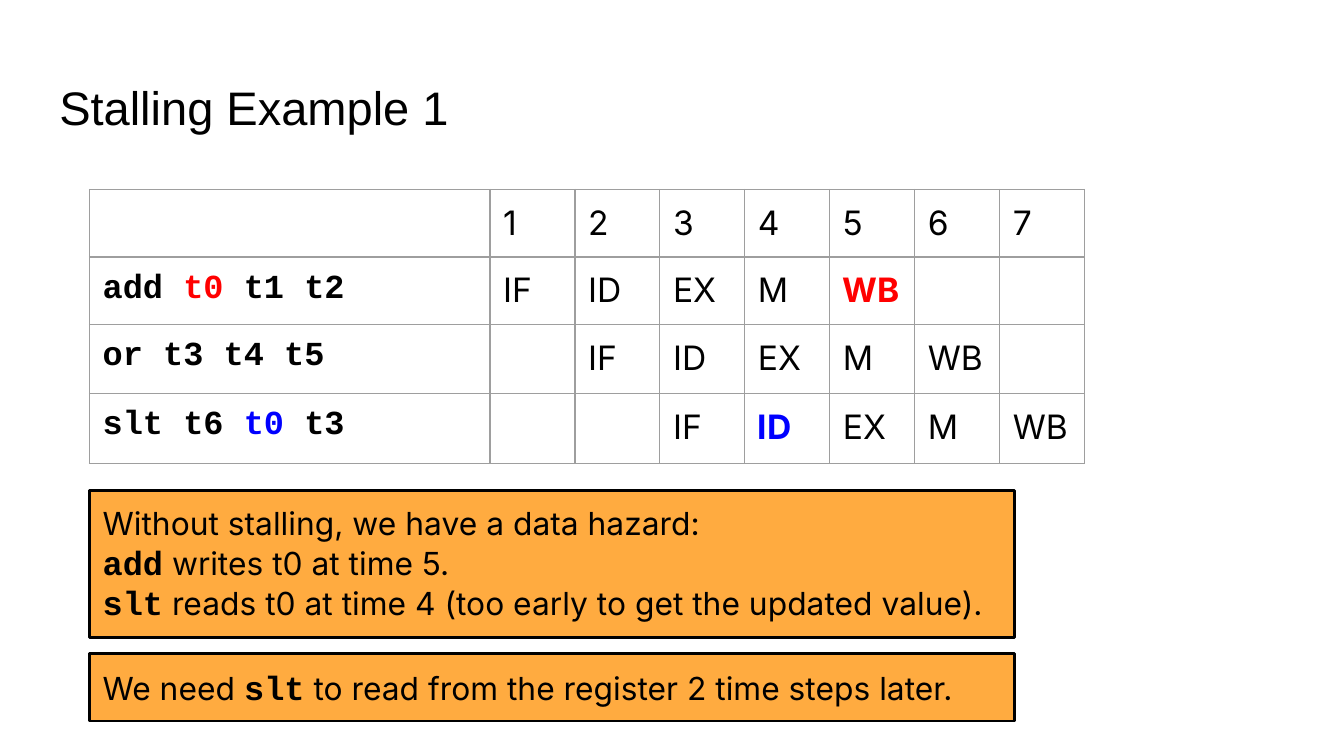
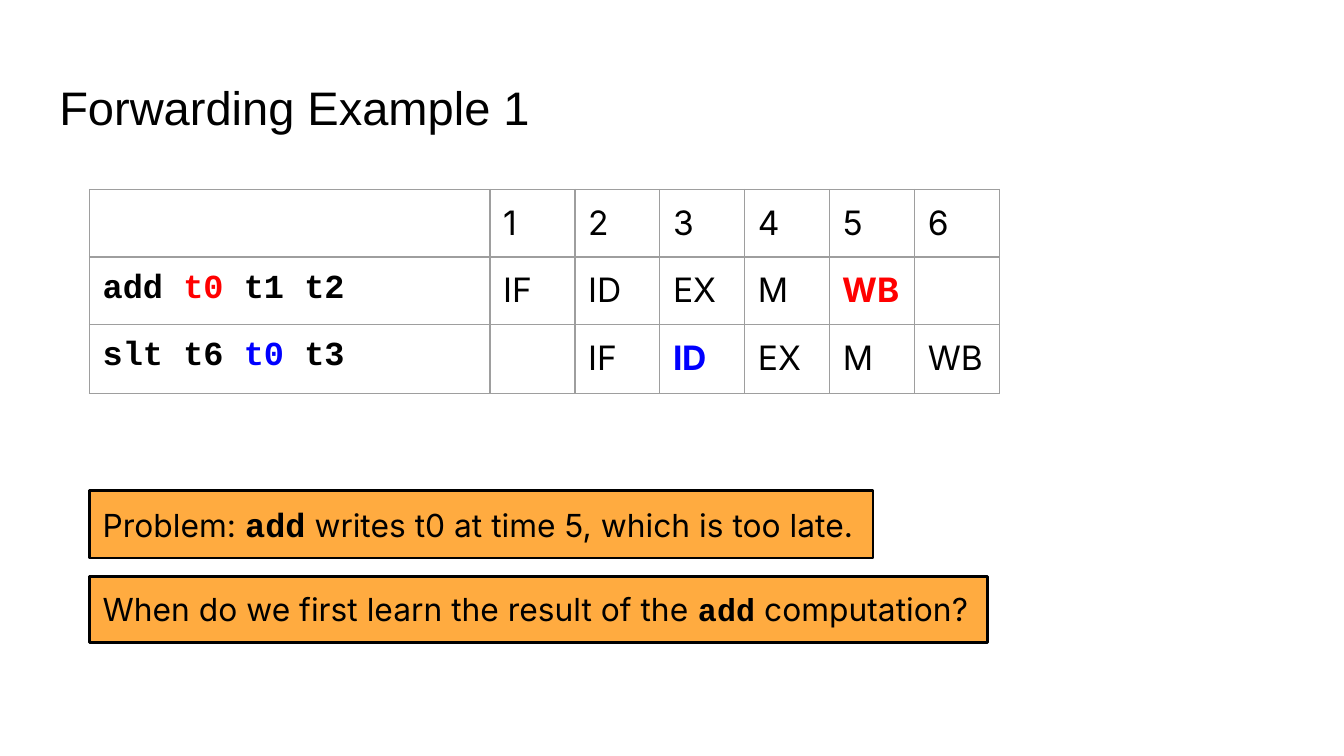
from lxml import etree
from pptx import Presentation
from pptx.dml.color import RGBColor as RGB
from pptx.enum.shapes import MSO_SHAPE as SHAPE
from pptx.enum.text import MSO_ANCHOR as ANCHOR, MSO_AUTO_SIZE as AUTO, PP_ALIGN as ALIGN
from pptx.oxml.ns import qn
from pptx.util import Cm, Pt

COLORS = {"black": "000000", "red": "FF0000", "blue": "0000FF",
          "orange": "FFAB40", "grid": "9E9E9E"}

# Text styles: font, size, bold, colour
STYLES = {
    "title": ("Arial", 25.2, False, "black"),
    "prose": ("Inter", 17, False, "black"),
    "keyword": ("Courier New", 18, True, "black"),
    "small keyword": ("Courier New", 17, True, "black"),
    "code": ("Courier New", 18, True, "black"),
    "code red": ("Courier New", 18, True, "red"),
    "code blue": ("Courier New", 18, True, "blue"),
    "stage": ("Inter", 18, False, "black"),
    "stage red": ("Inter", 18, True, "red"),
    "stage blue": ("Inter", 18, True, "blue"),
}
STAGES = ["IF", "ID", "EX", "M", "WB"]
LEFT, TABLE_TOP, INSET = 1.69, 3.58, 0.25
CODE_W, STEP_W = 7.57, 1.605
ROW_HEIGHTS = [1.27, 1.27, 1.31, 1.32]

# Instructions: code runs and the highlighted stages
ADD = ([("add ", "code"), ("t0", "code red"), (" t1 t2", "code")], {"WB": "stage red"})
OR = ([("or t3 t4 t5", "code")], {})
SLT = ([("slt t6 ", "code"), ("t0", "code blue"), (" t3", "code")], {"ID": "stage blue"})

# Boxes: top, width, height, paragraphs
SLIDES = [
    ("Stalling Example 1", [ADD, OR, SLT], [
        (9.27, 17.48, 2.78, [
            [("Without stalling, we have a data hazard:", "prose")],
            [("add", "keyword"), (" writes t0 at time 5.", "prose")],
            [("slt", "keyword"),
             (" reads t0 at time 4 (too early to get the updated value).", "prose")]]),
        (12.35, 17.48, 1.28, [
            [("We need ", "prose"), ("slt", "keyword"),
             (" to read from the register 2 time steps later.", "prose")]]),
    ]),
    ("Forwarding Example 1", [ADD, SLT], [
        (9.27, 14.81, 1.28, [
            [("Problem: ", "prose"), ("add", "keyword"),
             (" writes t0 at time 5, which is too late.", "prose")]]),
        (10.9, 16.97, 1.24, [
            [("When do we first learn the result of the ", "prose"),
             ("add", "small keyword"), (" computation?", "prose")]]),
    ]),
]


def write_text(tf, paragraphs):
    for i, runs in enumerate(paragraphs):
        p = tf.paragraphs[0] if i == 0 else tf.add_paragraph()
        p.alignment = ALIGN.LEFT
        for text, style in runs:
            r = p.add_run()
            r.text = text
            font, size, bold, color = STYLES[style]
            r.font.name, r.font.size, r.font.bold = font, Pt(size), bold
            r.font.color.rgb = RGB.from_string(COLORS[color])


def format_cell(cell):
    cell.margin_left = cell.margin_right = Cm(INSET)
    cell.margin_top = cell.margin_bottom = Cm(INSET)
    cell.fill.background()
    tcPr = cell._tc.get_or_add_tcPr()
    for i, side in enumerate(["lnL", "lnR", "lnT", "lnB"]):
        ln = etree.Element(qn(f"a:{side}"), w=str(Pt(0.75)))
        fill = etree.SubElement(ln, qn("a:solidFill"))
        etree.SubElement(fill, qn("a:srgbClr"), val=COLORS["grid"])
        tcPr.insert(i, ln)


prs = Presentation()
prs.slide_width, prs.slide_height = Cm(25.4), Cm(14.29)

for title, instructions, boxes in SLIDES:
    s = prs.slides.add_slide(prs.slide_layouts[5])

    # Title
    sp = s.shapes.title
    sp.left, sp.top, sp.width, sp.height = Cm(0.87), Cm(1.21), Cm(23.67), Cm(1.6)
    tf = sp.text_frame
    tf.auto_size, tf.vertical_anchor = AUTO.NONE, ANCHOR.BOTTOM
    tf.margin_left = tf.margin_right = tf.margin_top = tf.margin_bottom = Cm(INSET)
    write_text(tf, [[(title, "title")]])

    # Pipeline table: each instruction starts one time step after the last
    steps = len(STAGES) + len(instructions) - 1
    heights = ROW_HEIGHTS[:len(instructions) + 1]
    table = s.shapes.add_table(len(heights), steps + 1, Cm(LEFT), Cm(TABLE_TOP),
                               Cm(CODE_W + steps * STEP_W), Cm(sum(heights))).table
    table.first_row = table.horz_banding = False
    for row, height in zip(table.rows, heights):
        row.height = Cm(height)
    for c, column in enumerate(table.columns):
        column.width = Cm(STEP_W if c else CODE_W)
    for cell in table.iter_cells():
        format_cell(cell)
    for step in range(1, steps + 1):
        write_text(table.cell(0, step).text_frame, [[(str(step), "stage")]])
    for row, (code, marks) in enumerate(instructions, start=1):
        write_text(table.cell(row, 0).text_frame, [code])
        for step, stage in enumerate(STAGES, start=row):
            write_text(table.cell(row, step).text_frame,
                       [[(stage, marks.get(stage, "stage"))]])

    # Orange explanation boxes
    for top, width, height, paragraphs in boxes:
        sp = s.shapes.add_shape(SHAPE.RECTANGLE, Cm(LEFT), Cm(top), Cm(width), Cm(height))
        sp.shadow.inherit = False
        sp.fill.solid()
        sp.fill.fore_color.rgb = RGB.from_string(COLORS["orange"])
        sp.line.color.rgb = RGB.from_string(COLORS["black"])
        sp.line.width = Pt(1.5)
        tf = sp.text_frame
        tf.word_wrap, tf.auto_size = True, AUTO.SHAPE_TO_FIT_TEXT
        tf.vertical_anchor = ANCHOR.TOP
        tf.margin_left = tf.margin_right = tf.margin_top = tf.margin_bottom = Cm(INSET)
        write_text(tf, paragraphs)

prs.save("out.pptx")
